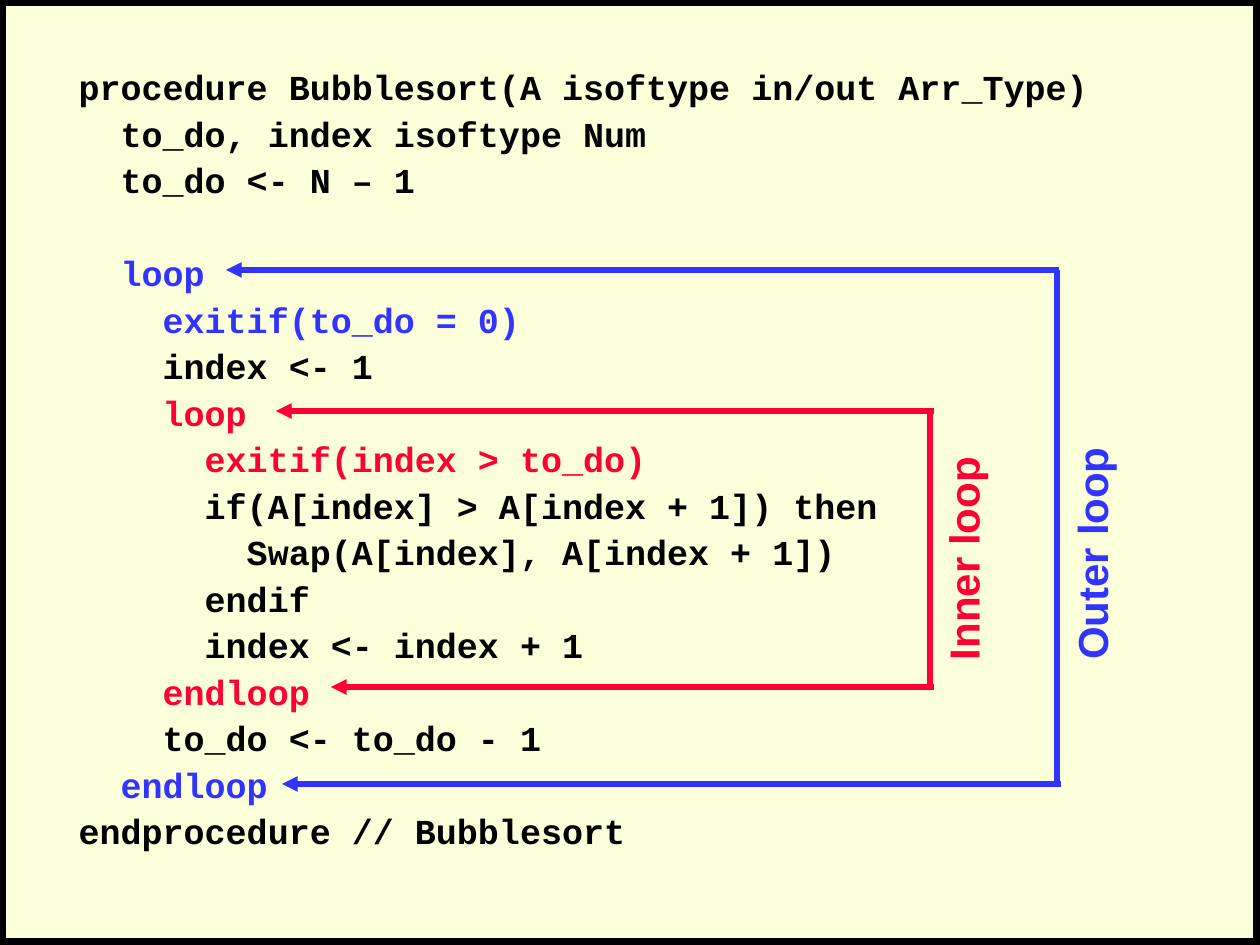
from dataclasses import dataclass
from typing import Optional

from lxml import etree
from pptx import Presentation
from pptx import util as u
from pptx.dml.color import RGBColor
from pptx.enum import shapes, text
from pptx.oxml.ns import qn

PX = 914400 / 126  # EMU per px
BLACK = RGBColor(0x00, 0x00, 0x00)
CREAM = RGBColor(0xFA, 0xFF, 0xD9)
BLUE = RGBColor(0x33, 0x33, 0xFF)
RED = RGBColor(0xFF, 0x00, 0x33)
LINE_GAP = 5  # points between code lines
BLOCK_GAP = 31.5  # one whole code line more


@dataclass
class CodeLine:
    content: str
    color: RGBColor = BLACK
    gap: float = LINE_GAP


@dataclass
class LoopBracket:
    label: str
    color: RGBColor
    spine: int
    top: int
    bottom: int
    top_tip: int
    bottom_tip: int
    top_start: int
    bottom_start: int
    label_box: tuple[int, int, int, int]


CODE = [
    CodeLine("procedure Bubblesort(A isoftype in/out Arr_Type)", gap=0),
    CodeLine("  to_do, index isoftype Num"),
    CodeLine("  to_do <- N – 1"),
    CodeLine("  loop", BLUE, BLOCK_GAP),
    CodeLine("    exitif(to_do = 0)", BLUE),
    CodeLine("    index <- 1"),
    CodeLine("    loop", RED),
    CodeLine("      exitif(index > to_do)", RED),
    CodeLine("      if(A[index] > A[index + 1]) then"),
    CodeLine("        Swap(A[index], A[index + 1])"),
    CodeLine("      endif"),
    CodeLine("      index <- index + 1"),
    CodeLine("    endloop", RED),
    CodeLine("    to_do <- to_do - 1"),
    CodeLine("  endloop", BLUE),
    CodeLine("endprocedure // Bubblesort"),
]

BRACKETS = [
    LoopBracket("Inner loop", RED, 930, 411, 687, 276, 331, 934, 934,
                (849, 527, 228, 63)),
    LoopBracket("Outer loop", BLUE, 1057, 270, 784, 226, 282, 1059, 1061,
                (969, 518, 245, 63)),
]


def px(length: int) -> u.Emu:
    return u.Emu(round(length * PX))


def add_span(para, content: str, font: str, size: int, color: RGBColor) -> None:
    span = para.add_run()
    span.text = content
    span.font.name = font
    span.font.size = u.Pt(size)
    span.font.bold = True
    span.font.color.rgb = color


def add_frame(page) -> None:
    frame = page.shapes.add_shape(
        shapes.MSO_SHAPE.RECTANGLE, px(3), px(3), px(1254), px(939))
    frame.shadow.inherit = False
    frame.fill.background()
    frame.line.color.rgb = BLACK
    frame.line.width = u.Pt(4)
    etree.SubElement(frame.line._get_or_add_ln(), qn("a:miter"), lim="800000")
    page.shapes._spTree.insert(2, frame._element)  # behind the code


def fill_code(box, lines: list[CodeLine]) -> None:
    box.left, box.top, box.width, box.height = map(px, (66, 64, 1137, 798))
    body = box.text_frame
    body.auto_size = text.MSO_AUTO_SIZE.NONE
    body.vertical_anchor = text.MSO_ANCHOR.TOP
    for number, line in enumerate(lines):
        para = body.add_paragraph() if number else body.paragraphs[0]
        props = para._p.get_or_add_pPr()
        props.set("marL", str(px(48)))
        props.set("indent", str(px(-48)))
        etree.SubElement(props, qn("a:buNone"))
        para.alignment = text.PP_ALIGN.LEFT
        para.line_spacing = 0.9
        para.space_before = u.Pt(line.gap)
        add_span(para, line.content, "Courier New", 20, line.color)


def add_line(page, start: tuple[int, int], end: tuple[int, int],
             color: RGBColor, head: Optional[str] = None) -> None:
    line = page.shapes.add_connector(
        shapes.MSO_CONNECTOR.STRAIGHT, *map(px, start + end))
    line.line.color.rgb = color
    line.line.width = u.Pt(3)
    if head:
        etree.SubElement(line.line._get_or_add_ln(), qn("a:tailEnd"), type=head)
    etree.SubElement(line._element.spPr, qn("a:effectLst"))


def add_bracket(page, loop: LoopBracket) -> None:
    add_line(page, (loop.top_start, loop.top), (loop.top_tip, loop.top),
             loop.color, "triangle")
    add_line(page, (loop.bottom_start, loop.bottom),
             (loop.bottom_tip, loop.bottom), loop.color, "triangle")
    add_line(page, (loop.spine, loop.top), (loop.spine, loop.bottom), loop.color)


def add_label(page, loop: LoopBracket) -> None:
    box = page.shapes.add_textbox(*map(px, loop.label_box))
    box.rotation = 270
    box.text_frame.word_wrap = False
    box.text_frame.auto_size = text.MSO_AUTO_SIZE.SHAPE_TO_FIT_TEXT
    add_span(box.text_frame.paragraphs[0], loop.label, "Arial", 24, loop.color)


def main() -> None:
    deck = Presentation()
    deck.slide_width, deck.slide_height = px(1260), px(945)
    page = deck.slides.add_slide(deck.slide_layouts[1])
    page.background.fill.solid()
    page.background.fill.fore_color.rgb = CREAM

    # The slide has no title
    title = page.shapes.title._element
    title.getparent().remove(title)

    add_frame(page)
    fill_code(page.placeholders[1], CODE)

    # Loop brackets, then their labels
    for loop in BRACKETS:
        add_bracket(page, loop)
    for loop in BRACKETS:
        add_label(page, loop)

    deck.save("out.pptx")


if __name__ == "__main__":
    main()
